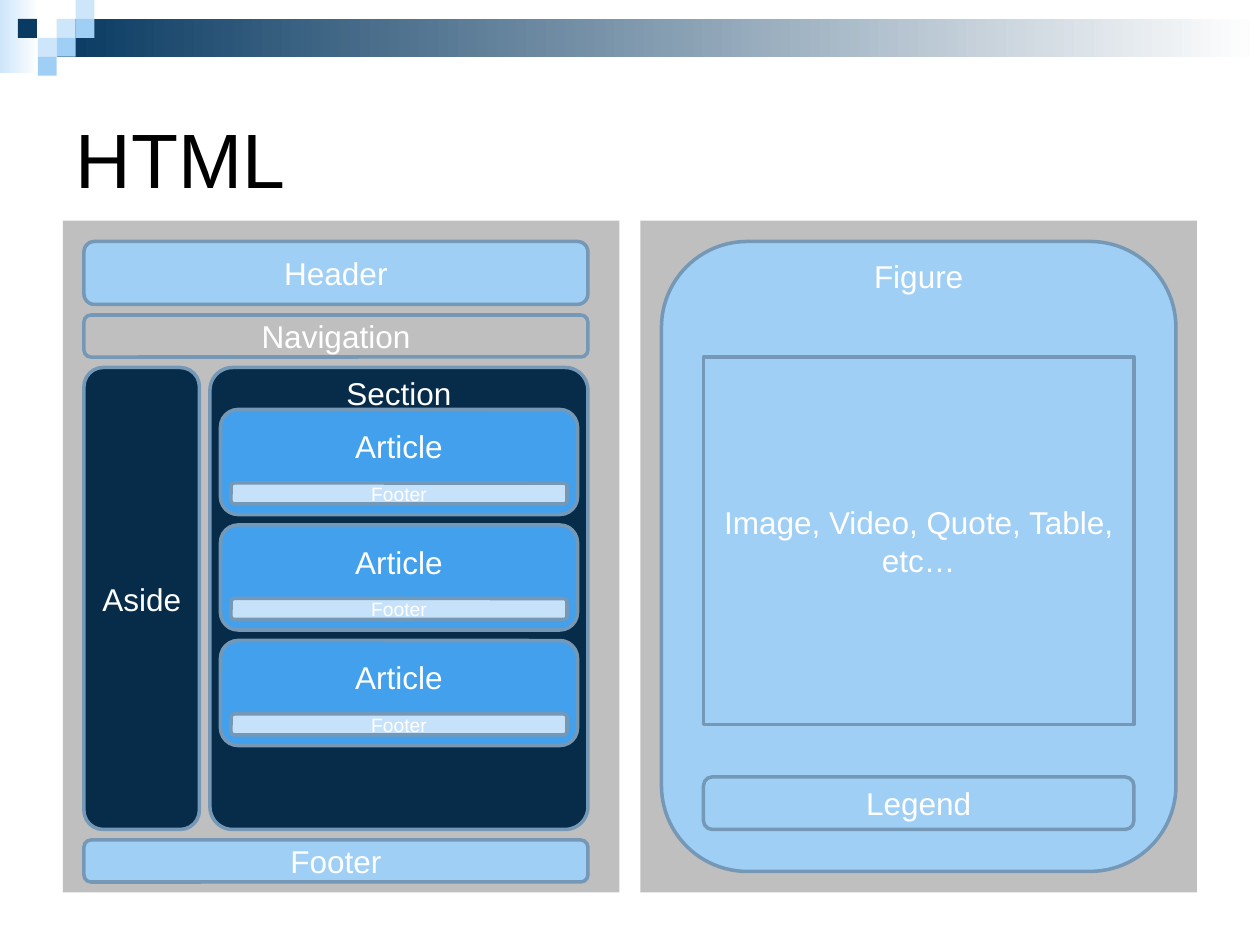
from pptx import Presentation
from pptx import util as u
from pptx.dml.color import RGBColor
from pptx.enum import shapes, text

COLORS = {
    "navy": "093A62", "ink": "072C4A", "blue": "43A0ED", "sky": "A0CFF6",
    "ice": "CEE6FA", "pale": "C6E2FA", "grey": "BFBFBF", "edge": "7498B5",
    "white": "FFFFFF", "black": "000000",
}
FONT = "Arial"
GRID = 1 / 12   # inches per layout column and row
PIXEL = 0.15    # inches per square of the banner
RECT = shapes.MSO_SHAPE.RECTANGLE
ROUND = shapes.MSO_SHAPE.ROUNDED_RECTANGLE


def color(name):
    return RGBColor.from_string(COLORS[name])


def write(frame, words, size=18, ink="white", align=text.PP_ALIGN.CENTER,
          anchor=text.MSO_ANCHOR.MIDDLE, top=0.05):
    frame.word_wrap = True
    frame.auto_size = text.MSO_AUTO_SIZE.NONE
    frame.vertical_anchor = anchor
    frame.margin_left = frame.margin_right = u.Inches(0.1)
    frame.margin_top, frame.margin_bottom = u.Inches(top), u.Inches(0.05)
    para = frame.paragraphs[0]
    para.alignment = align
    span = para.add_run()
    span.text = words
    span.font.name, span.font.size = FONT, u.Pt(size)
    span.font.color.rgb = color(ink)


def add_block(page, cell, fill, kind=RECT, unit=GRID, fade=False):
    """Add a plain block; cell is (column, row, columns, rows)."""
    box = page.shapes.add_shape(kind, *(u.Inches(n * unit) for n in cell))
    box.shadow.inherit = False
    box.line.fill.background()
    if fade:
        box.fill.gradient()
        box.fill.gradient_angle = 0
        for stop, name in zip(box.fill.gradient_stops, (fill, "white")):
            stop.color.rgb = color(name)
    else:
        box.fill.solid()
        box.fill.fore_color.rgb = color(fill)
    return box


def add_element(page, words, cell, fill, kind=ROUND, corner=0.167, **style):
    """Add an outlined block that stands for one HTML element."""
    box = add_block(page, cell, fill, kind)
    box.line.color.rgb = color("edge")
    box.line.width = u.Pt(2)
    if kind == ROUND:
        box.adjustments[0] = corner
    write(box.text_frame, words, **style)


def add_label_on_top(page, words, cell, fill, **style):
    add_element(page, words, cell, fill, anchor=text.MSO_ANCHOR.TOP, **style)


def add_banner(page):
    add_block(page, (0, 0, 2.07, 3.87), "ice", unit=PIXEL, fade=True)
    add_block(page, (3, 1, 63.67, 2), "navy", unit=PIXEL, fade=True)
    for column, row, fill in (
        (3, 1, "ice"), (4, 0, "ice"), (4, 1, "sky"), (2, 2, "ice"),
        (0.95, 1, "navy"), (3, 2, "sky"), (2, 3, "sky"),
    ):
        add_block(page, (column, row, 1, 1), fill, unit=PIXEL)


def add_title(page, words):
    title = page.shapes.title
    title.left, title.top = u.Inches(0.5), u.Inches(0.5)
    title.width, title.height = u.Inches(9), u.Inches(1.5)
    write(title.text_frame, words, size=44, ink="black",
          align=text.PP_ALIGN.LEFT)


def add_page_layout(page):
    add_element(page, "Header", (8, 23, 48, 6), "sky")
    add_element(page, "Navigation", (8, 30, 48, 4), "grey")
    add_element(page, "Aside", (8, 35, 11, 44), "ink")
    add_element(page, "Footer", (8, 80, 48, 4), "sky")
    add_label_on_top(page, "Section", (20, 35, 36, 44), "ink",
                     corner=0.06, top=0)
    for row in range(39, 62, 11):
        add_label_on_top(page, "Article", (21, row, 34, 10), "blue", top=0.1)
        add_element(page, "Footer", (22, row + 7, 32, 2), "pale", size=11)


def add_figure_layout(page):
    # The wide corners push text down, so the top margin pulls it back up.
    add_label_on_top(page, "Figure", (63, 23, 49, 60), "sky", top=-0.08)
    add_element(page, "Image, Video, Quote, Table, etc…", (67, 34, 41, 35),
                "sky", kind=RECT)
    add_element(page, "Legend", (67, 74, 41, 5), "sky")


def main():
    deck = Presentation()
    deck.slide_width, deck.slide_height = u.Inches(10), u.Inches(7.5)
    page = deck.slides.add_slide(deck.slide_layouts[5])
    add_banner(page)
    add_title(page, "HTML")
    for column in (6, 61):
        add_block(page, (column, 21, 53, 64), "grey")
    add_page_layout(page)
    add_figure_layout(page)
    deck.save("out.pptx")


if __name__ == "__main__":
    main()
